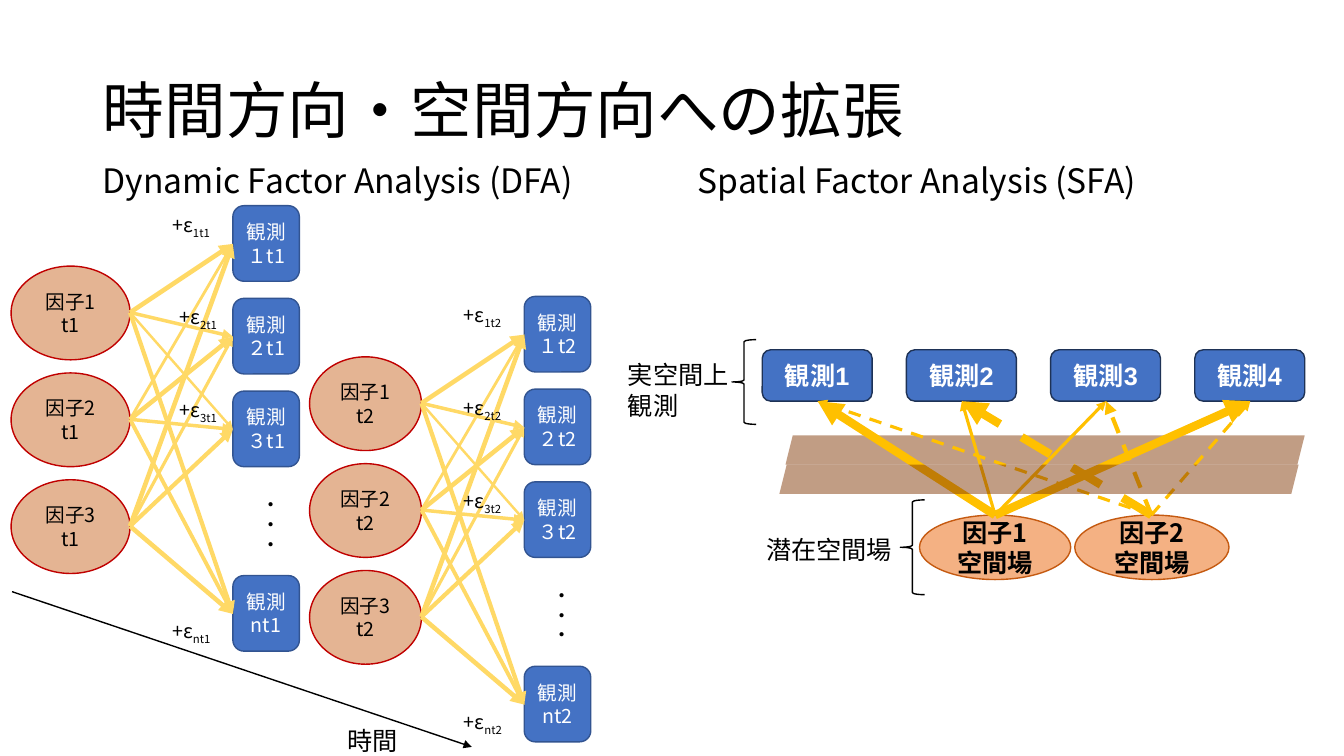
"""Build the slide on extending factor analysis over time and space."""
from dataclasses import dataclass
from typing import Any, Optional

from lxml.etree import SubElement
from pptx import Presentation
from pptx.dml.color import RGBColor
from pptx.enum.dml import MSO_LINE
from pptx.enum.shapes import MSO_CONNECTOR, MSO_SHAPE
from pptx.enum.text import MSO_ANCHOR, MSO_AUTO_SIZE, PP_ALIGN
from pptx.oxml.ns import qn
from pptx.util import Emu, Pt

PX = 9144
SANS = "Noto Sans CJK JP"
COLOURS = {
    "black": "000000", "white": "FFFFFF", "observed": "4472C4",
    "observed_edge": "325491", "site_edge": "1E3256", "factor": "C55A11",
    "factor_edge": "C00000", "field": "F4B183", "band": "843C0B",
    "loading": "FFD966", "field_loading": "FFC000",
}


@dataclass(frozen=True)
class Look:
    """Text format of a box."""
    size: int
    colour: str = "black"
    font: str = SANS
    bold: bool = False
    align: PP_ALIGN = PP_ALIGN.LEFT
    anchor: MSO_ANCHOR = MSO_ANCHOR.TOP
    wrap: bool = True
    spacing: float = 1.0


@dataclass(frozen=True)
class Style:
    """Preset shape with its fill and edge."""
    preset: MSO_SHAPE
    fill: Optional[str] = None
    edge: Optional[str] = None
    alpha: int = 100


@dataclass(frozen=True)
class Moment:
    """One time step of the dynamic factor model."""
    name: str
    factor_left: int
    factor_width: int
    observed_left: int
    error_lefts: tuple[int, ...]
    drop: int


CENTRED = {"align": PP_ALIGN.CENTER, "anchor": MSO_ANCHOR.MIDDLE}
TITLE = Look(44, anchor=MSO_ANCHOR.MIDDLE, spacing=0.9)
HEADING = Look(24, anchor=MSO_ANCHOR.BOTTOM, spacing=0.9)
SMALL = Look(14)
NOTE = Look(18, wrap=False)
DOTS = Look(14, wrap=False)
OBSERVED_TEXT = Look(14, "white", **CENTRED)
FACTOR_TEXT = Look(14, **CENTRED)
SITE_TEXT = Look(18, "white", "Arial", True, **CENTRED)
FIELD_TEXT = Look(18, bold=True, **CENTRED)

OBSERVED = Style(MSO_SHAPE.ROUNDED_RECTANGLE, "observed", "observed_edge")
SITE = Style(MSO_SHAPE.ROUNDED_RECTANGLE, "observed", "site_edge")
FACTOR = Style(MSO_SHAPE.OVAL, "factor", "factor_edge", 45)
FIELD = Style(MSO_SHAPE.OVAL, "field", "factor")
BAND = Style(MSO_SHAPE.PARALLELOGRAM, "band", alpha=50)
BRACE = Style(MSO_SHAPE.LEFT_BRACE, edge="black")

MOMENTS = (
    Moment("t2", 307, 111, 520, (450, 450, 450, 450), 90),
    Moment("t1", 11, 118, 231, (161, 168, 168, 161), 0),
)
FACTOR_TOPS = (264, 370, 476)
OBSERVED_TOPS = (204, 296, 388, 571)
ERROR_TOPS = (206, 298, 390, 609)
OBSERVED_MARKS = ("１", "２", "３")
LOADINGS = ((3.25, 2, 3.25), (2.5, 3.25, 2.25), (1.75, 2.5, 3), (3, 2.75, 3.25))
FIELD_LOADINGS = ((6, 2.25, 2.25, 6), (2.25, 6, 3, 2.25))
FIELDS = ((912, 150), (1066, 153))


def rgb(name: str) -> RGBColor:
    """Look up a colour by name."""
    return RGBColor.from_string(COLOURS[name])


def apply(target: Any, values: dict[str, Any]) -> None:
    """Set each named attribute of the target."""
    for name, value in values.items():
        setattr(target, name, value)


def write(box: Any, paragraphs: list[list[str]], look: Look) -> None:
    """Fill a box with paragraphs whose second span is a subscript."""
    frame = box.text_frame
    apply(frame, {"word_wrap": look.wrap, "vertical_anchor": look.anchor,
                  "auto_size": MSO_AUTO_SIZE.NONE})
    for index, spans in enumerate(paragraphs):
        para = frame.add_paragraph() if index else frame.paragraphs[0]
        apply(para, {"alignment": look.align, "line_spacing": look.spacing,
                     "space_before": Pt(0)})
        for order, text in enumerate(spans):
            span = para.add_run()
            span.text = text
            apply(span.font, {"size": Pt(look.size), "name": look.font,
                              "bold": look.bold})
            span.font.color.rgb = rgb(look.colour)
            properties = span.font._element
            SubElement(properties, qn("a:ea")).set("typeface", look.font)
            if order:
                properties.set("baseline", "-25000")


def add_label(shapes: Any, place: tuple[int, ...], paragraphs: list[list[str]],
              look: Look) -> Any:
    """Add a text box."""
    box = shapes.add_textbox(*(Emu(length * PX) for length in place))
    write(box, paragraphs, look)
    return box


def add_figure(shapes: Any, style: Style, place: tuple[int, ...],
               lines: tuple[str, ...] = (), look: Look = SMALL) -> None:
    """Add a preset shape with optional text."""
    box = shapes.add_shape(style.preset, *(Emu(length * PX) for length in place))
    box.shadow.inherit = False
    if style.fill:
        box.fill.solid()
        box.fill.fore_color.rgb = rgb(style.fill)
        if style.alpha < 100:
            colour = box.fill._xPr.find(qn("a:solidFill"))[0]
            SubElement(colour, qn("a:alpha")).set("val", str(style.alpha * 1000))
    else:
        box.fill.background()
    if style.edge:
        box.line.color.rgb = rgb(style.edge)
        box.line.width = Pt(1)
    else:
        box.line.fill.background()
    if lines:
        write(box, [[line] for line in lines], look)


def add_arrow(shapes: Any, start: tuple[int, int], end: tuple[int, int],
              colour: str, width: float, dashed: bool = False) -> None:
    """Add a straight line with an arrowhead at its end."""
    arrow = shapes.add_connector(
        MSO_CONNECTOR.STRAIGHT, *(Emu(length * PX) for length in start + end))
    arrow.line.color.rgb = rgb(colour)
    arrow.line.width = Pt(width)
    if dashed:
        arrow.line.dash_style = MSO_LINE.DASH
    SubElement(arrow.line._get_or_add_ln(), qn("a:tailEnd")).set("type", "triangle")
    SubElement(arrow._element.spPr, qn("a:effectLst"))


def add_moment(shapes: Any, moment: Moment) -> None:
    """Draw the factors, observations and loadings of one time step."""
    left, drop = moment.observed_left, moment.drop
    for top, mark in zip(OBSERVED_TOPS, OBSERVED_MARKS):
        add_figure(shapes, OBSERVED, (left, top + drop, 66, 75),
                   (f"観測{mark}{moment.name}",), OBSERVED_TEXT)
    add_figure(shapes, OBSERVED, (left, OBSERVED_TOPS[-1] + drop, 66, 75),
               ("観測", f"n{moment.name}"), OBSERVED_TEXT)
    for number, top in enumerate(FACTOR_TOPS, 1):
        add_figure(shapes, FACTOR, (moment.factor_left, top + drop, moment.factor_width, 93),
                   (f"因子{number}", moment.name), FACTOR_TEXT)
    dots = add_label(shapes, (left - 5, 508 + drop, 77, 26), [["・・・"]], DOTS)
    dots.rotation = 270
    right = moment.factor_left + moment.factor_width
    for observed_top, widths in zip(OBSERVED_TOPS, LOADINGS):
        for factor_top, width in zip(FACTOR_TOPS, widths):
            add_arrow(shapes, (right, factor_top + 46 + drop),
                      (left, observed_top + 38 + drop), "loading", width)
    for mark, error_left, top in zip("123n", moment.error_lefts, ERROR_TOPS):
        add_label(shapes, (error_left, top + drop, 80, 34),
                  [["+ε", f"{mark}{moment.name}"]], SMALL)


def add_spatial(shapes: Any) -> None:
    """Draw the spatial factor model."""
    add_figure(shapes, BAND, (779, 432, 515, 29))
    for index in range(4):
        add_figure(shapes, SITE, (756 + 143 * index, 347, 109, 51),
                   (f"観測{index + 1}",), SITE_TEXT)
    for number, (left, width) in enumerate(FIELDS, 1):
        add_figure(shapes, FIELD, (left, 511, width, 64),
                   (f"因子{number}", "空間場"), FIELD_TEXT)
    for row, ((left, width), weights) in enumerate(zip(FIELDS, FIELD_LOADINGS)):
        for index, weight in enumerate(weights):
            add_arrow(shapes, (left + width // 2, 511), (811 + 143 * index, 398),
                      "field_loading", weight, dashed=row == 1)
    add_figure(shapes, BRACE, (726, 337, 24, 84))
    add_figure(shapes, BRACE, (893, 496, 24, 94))
    add_label(shapes, (750, 525, 146, 40), [["潜在空間場"]], NOTE)
    add_figure(shapes, BAND, (773, 461, 515, 29))


def main() -> None:
    """Build and save the deck."""
    deck = Presentation()
    apply(deck, {"slide_width": Emu(1333 * PX), "slide_height": Emu(750 * PX)})
    page = deck.slides.add_slide(deck.slide_layouts[4])
    holders = {holder.placeholder_format.idx: holder for holder in page.placeholders}
    for index in (2, 4):
        holders[index]._element.getparent().remove(holders[index]._element)
    for index, place, text, look in (
            (0, (92, 40, 1150, 145), "時間方向・空間方向への拡張", TITLE),
            (1, (92, 151, 564, 53), "Dynamic Factor Analysis (DFA)", HEADING),
            (3, (682, 151, 560, 53), "Spatial Factor Analysis (SFA)", HEADING)):
        apply(holders[index], dict(zip(("left", "top", "width", "height"),
                                       (Emu(length * PX) for length in place))))
        write(holders[index], [[text]], look)
    for moment in MOMENTS:
        add_moment(page.shapes.add_group_shape().shapes, moment)
    add_spatial(page.shapes.add_group_shape().shapes)
    add_label(page.shapes, (613, 352, 121, 71), [["実空間上"], ["観測"]], NOTE)
    add_arrow(page.shapes, (12, 587), (468, 741), "black", 1)
    add_label(page.shapes, (335, 715, 80, 40), [["時間"]], NOTE)
    deck.save("out.pptx")


if __name__ == "__main__":
    main()
